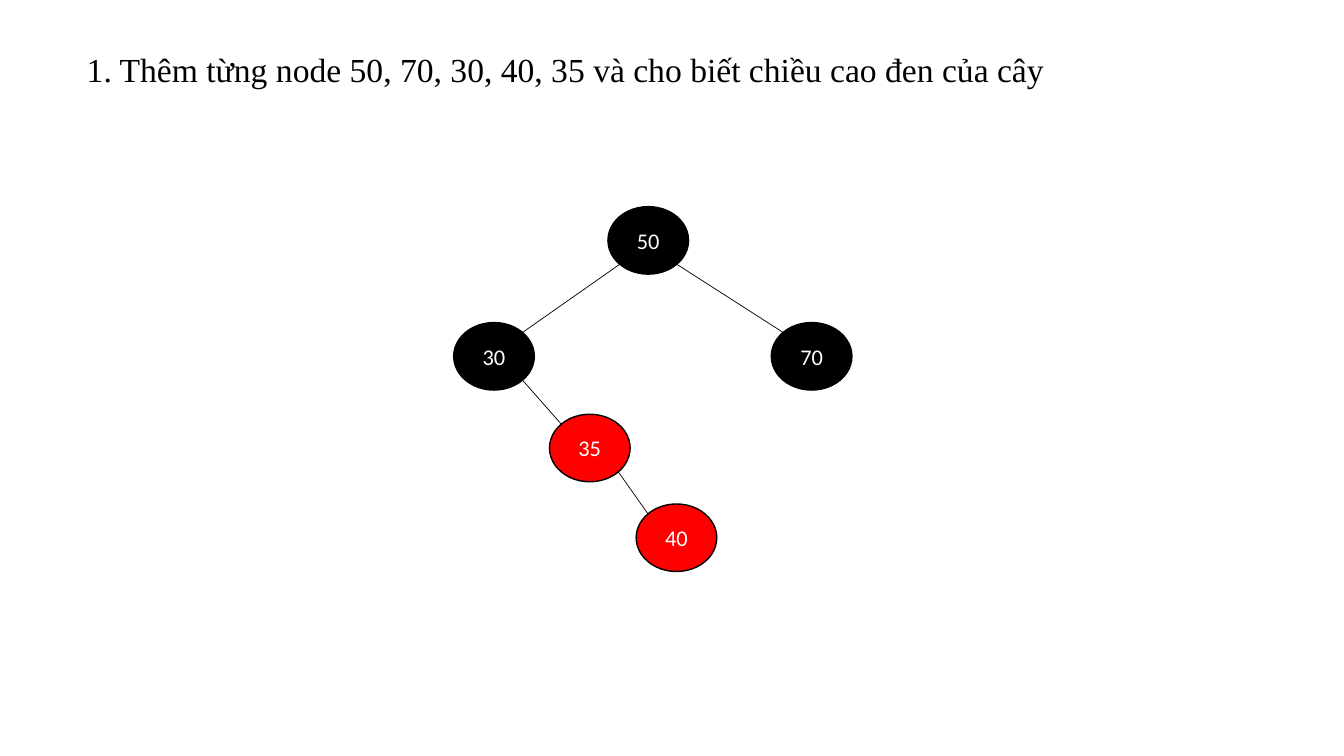
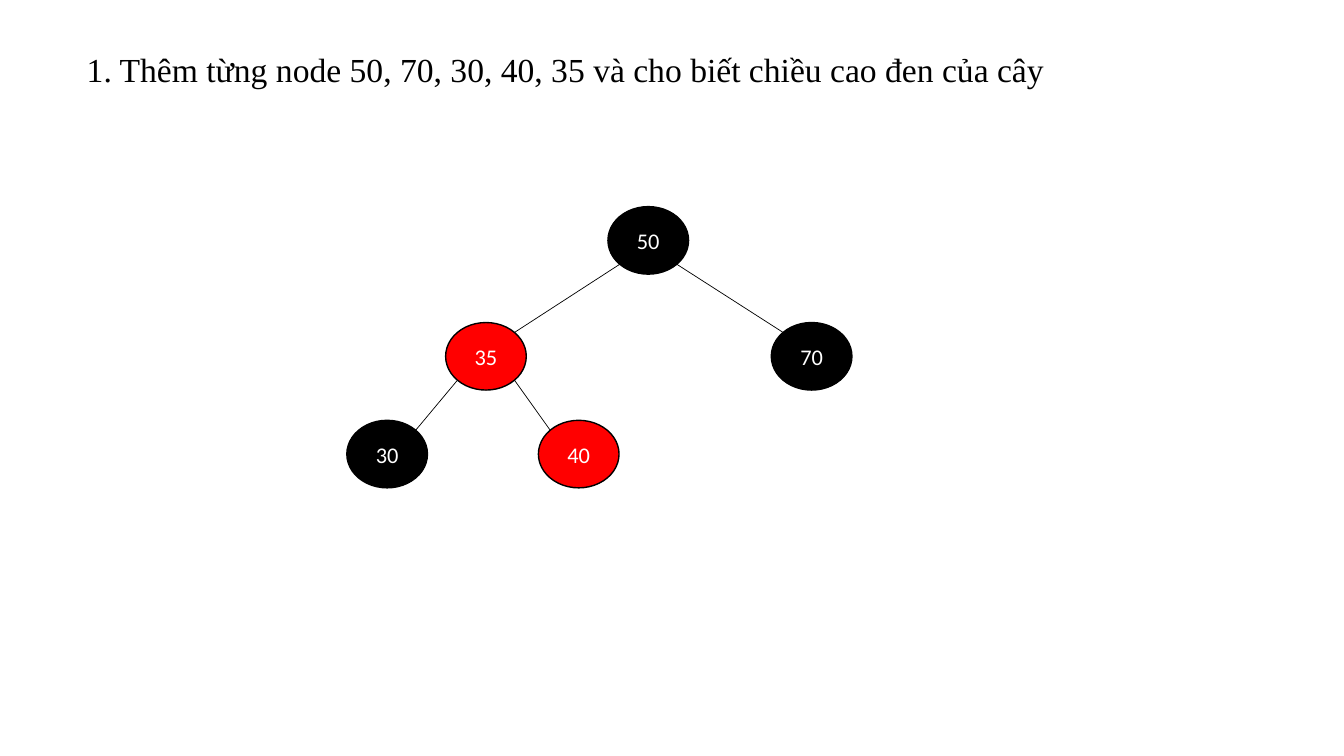
from dataclasses import dataclass
from math import sqrt

from lxml.etree import SubElement
from pptx import Presentation
from pptx.dml.color import RGBColor
from pptx.enum.shapes import MSO_CONNECTOR as Link, MSO_SHAPE as Shape
from pptx.enum.text import MSO_ANCHOR as Anchor, MSO_AUTO_SIZE as Fit, PP_ALIGN as Align
from pptx.oxml.ns import qn
from pptx.slide import Slide
from pptx.text.text import _Paragraph as Para
from pptx.util import Inches, Pt

# Shared style
BLACK, RED, WHITE = "000000", "FF0000", "FFFFFF"
SERIF, SANS = "Times New Roman", "Calibri"
TITLE = "1. Thêm từng node 50, 70, 30, 40, 35 và cho biết chiều cao đen của cây"
NODE_W, NODE_H = 0.8, 0.67


@dataclass
class Node:
    key: int
    left: float
    top: float
    fill: str = BLACK

    def corner(self, side: int, down: int) -> tuple[float, float]:
        """Point on the oval's diagonal; side and down are -1 or 1."""
        return (self.left + NODE_W / 2 * (1 + side / sqrt(2)),
                self.top + NODE_H / 2 * (1 + down / sqrt(2)))


@dataclass
class Tree:
    nodes: list[Node]
    edges: list[tuple[int, int]]  # parent key, child key


# Trees: before and after the rotation
ROOT, RIGHT = Node(50, 6.03, 2.05), Node(70, 7.65, 3.2)
TREES = [
    Tree([ROOT, RIGHT, Node(30, 4.5, 3.2), Node(35, 5.45, 4.11, RED), Node(40, 6.31, 5, RED)],
         [(50, 70), (50, 30), (30, 35), (35, 40)]),
    Tree([ROOT, RIGHT, Node(35, 4.42, 3.2, RED), Node(30, 3.44, 4.17), Node(40, 5.34, 4.17, RED)],
         [(50, 70), (50, 35), (35, 30), (35, 40)]),
]


def rgb(code: str) -> RGBColor:
    return RGBColor.from_string(code)


def add_run(para: Para, text: str, font: str, size: float, color: str) -> None:
    run = para.add_run()
    run.text = text
    run.font.name, run.font.size = font, Pt(size)
    run.font.color.rgb = rgb(color)


def add_title(slide: Slide) -> None:
    title = slide.shapes.title
    title.left, title.top = Inches(0.76), Inches(0.41)
    title.width, title.height = Inches(9.83), Inches(0.51)
    frame = title.text_frame
    frame.word_wrap, frame.auto_size = True, Fit.SHAPE_TO_FIT_TEXT
    frame.vertical_anchor = Anchor.TOP
    para = frame.paragraphs[0]
    para.alignment, para.line_spacing = Align.LEFT, 1.07
    add_run(para, TITLE, SERIF, 24, BLACK)


def add_node(slide: Slide, node: Node) -> None:
    oval = slide.shapes.add_shape(Shape.OVAL, Inches(node.left), Inches(node.top),
                                  Inches(NODE_W), Inches(NODE_H))
    oval.shadow.inherit = False
    oval.fill.solid()
    oval.fill.fore_color.rgb = rgb(node.fill)
    oval.line.color.rgb, oval.line.width = rgb(BLACK), Pt(1)
    oval.text_frame.vertical_anchor = Anchor.MIDDLE
    para = oval.text_frame.paragraphs[0]
    para.alignment = Align.CENTER
    add_run(para, str(node.key), SANS, 16, WHITE)


def add_edge(slide: Slide, top: Node, low: Node) -> None:
    side = 1 if low.left > top.left else -1
    ends = top.corner(side, 1) + low.corner(-side, -1)
    line = slide.shapes.add_connector(Link.STRAIGHT, *map(Inches, ends))
    line.line.color.rgb, line.line.width = rgb(BLACK), Pt(0.5)
    SubElement(line._element.spPr, qn("a:effectLst"))


# Build the slides
deck = Presentation()
deck.slide_width, deck.slide_height = Inches(13.33), Inches(7.5)
for tree in TREES:
    page = deck.slides.add_slide(deck.slide_layouts.get_by_name("Title Only"))
    add_title(page)
    for node in tree.nodes:
        add_node(page, node)
    by_key = {node.key: node for node in tree.nodes}
    for top, low in tree.edges:
        add_edge(page, by_key[top], by_key[low])
deck.save("out.pptx")
